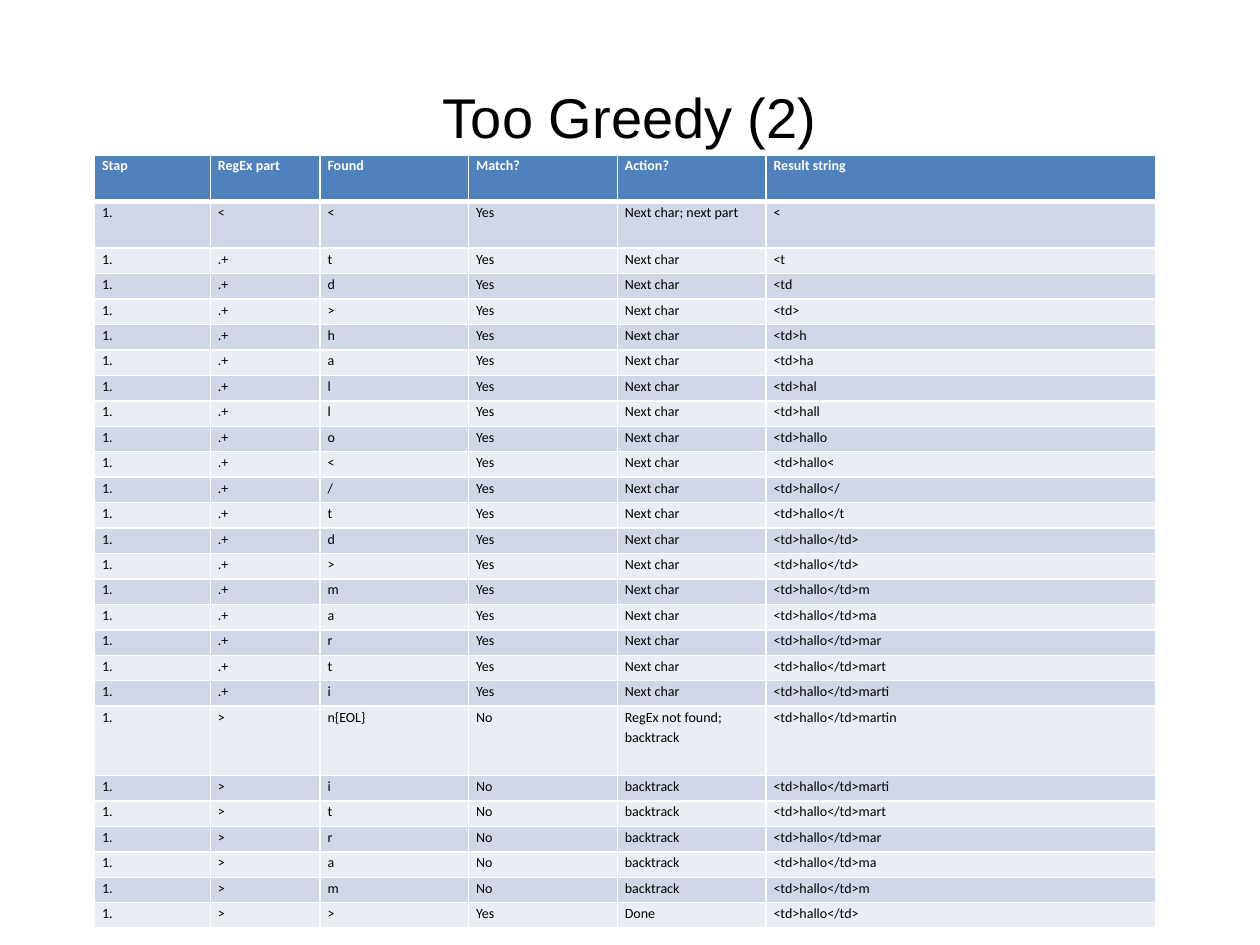
from dataclasses import dataclass

from lxml import etree
from pptx import Presentation
from pptx.dml.color import RGBColor
from pptx.enum import text
from pptx.oxml import ns
from pptx.util import Inches, Pt

COLORS = {
    "header": "4F81BD",
    "odd": "D0D8E8",
    "even": "E9EDF4",
    "border": "FFFFFF",
    "header_text": "FFFFFF",
    "text": "000000",
}
SUBJECT = "<td>hallo</td>martin"
CLOSING_D, TAG_END = 13, 14
HEADINGS = ("Stap", "RegEx part", "Found", "Match?", "Action?", "Result string")
COLUMN_WIDTHS = (0.92, 0.87, 1.18, 1.18, 1.18, 3.09)
TABLE_HEIGHT = 6.14
TALL_ROWS = {0: 0.37, 1: 0.37, 20: 0.55}


@dataclass
class Step:
    regex: str
    found: str
    match: str
    action: str
    result: str

    def values(self) -> tuple[str, ...]:
        return ("1.", self.regex, self.found, self.match, self.action, self.result)


@dataclass
class CellStyle:
    fill: str
    color: str
    bold: bool
    top: int
    bottom: int


def matching_steps() -> list[Step]:
    steps = [Step("<", "<", "Yes", "Next char; next part", "<")]
    for length in range(2, len(SUBJECT)):
        shown = TAG_END if length == CLOSING_D else length
        steps.append(Step(".+", SUBJECT[length - 1], "Yes", "Next char", SUBJECT[:shown]))
    steps.append(Step(">", "n{EOL}", "No", "RegEx not found;\nbacktrack", SUBJECT))
    for length in range(len(SUBJECT) - 1, TAG_END, -1):
        steps.append(Step(">", SUBJECT[length - 1], "No", "backtrack", SUBJECT[:length]))
    steps.append(Step(">", ">", "Yes", "Done", SUBJECT[:TAG_END]))
    return steps


def row_style(row: int) -> CellStyle:
    if row == 0:
        return CellStyle("header", "header_text", True, 1, 3)
    return CellStyle("odd" if row % 2 else "even", "text", False, 3 if row == 1 else 1, 1)


def add_run(paragraph, words: str, font_name: str, size: int, color: str, bold: bool = False) -> None:
    run = paragraph.add_run()
    run.text = words
    run.font.name = font_name
    run.font.size = Pt(size)
    run.font.bold = bold
    run.font.color.rgb = RGBColor.from_string(COLORS[color])


def set_borders(cell, style: CellStyle) -> None:
    properties = cell._tc.get_or_add_tcPr()
    widths = {"lnL": 1, "lnR": 1, "lnT": style.top, "lnB": style.bottom}
    for position, (tag, width) in enumerate(widths.items()):
        line = etree.Element(ns.qn(f"a:{tag}"), w=str(Pt(width)))
        fill = etree.SubElement(line, ns.qn("a:solidFill"))
        etree.SubElement(fill, ns.qn("a:srgbClr"), val=COLORS["border"])
        properties.insert(position, line)


def fill_cell(cell, words: str, style: CellStyle) -> None:
    cell.margin_left = cell.margin_right = Inches(0.06)
    cell.margin_top = cell.margin_bottom = 0
    cell.fill.solid()
    cell.fill.fore_color.rgb = RGBColor.from_string(COLORS[style.fill])
    set_borders(cell, style)
    frame = cell.text_frame
    for index, line in enumerate(words.split("\n")):
        paragraph = frame.add_paragraph() if index else frame.paragraphs[0]
        paragraph.line_spacing = 1.15
        add_run(paragraph, line, "Calibri", 8, style.color, style.bold)


def add_title(slide, words: str) -> None:
    shape = slide.shapes.add_textbox(Inches(0.5), Inches(0.3), Inches(9), Inches(1.25))
    frame = shape.text_frame
    frame.word_wrap = True
    frame.vertical_anchor = text.MSO_ANCHOR.MIDDLE
    paragraph = frame.paragraphs[0]
    paragraph.alignment = text.PP_ALIGN.CENTER
    add_run(paragraph, words, "Arial", 32, "text")


def add_steps_table(slide, steps: list[Step]) -> None:
    rows = [HEADINGS, *(step.values() for step in steps)]
    table = slide.shapes.add_table(
        len(rows), len(HEADINGS), Inches(0.75), Inches(1.23),
        Inches(sum(COLUMN_WIDTHS)), Inches(TABLE_HEIGHT),
    ).table
    for column, width in zip(table.columns, COLUMN_WIDTHS):
        column.width = Inches(width)
    common_height = (TABLE_HEIGHT - sum(TALL_ROWS.values())) / (len(rows) - len(TALL_ROWS))
    for index, values in enumerate(rows):
        table.rows[index].height = Inches(TALL_ROWS.get(index, common_height))
        for cell, words in zip(table.rows[index].cells, values):
            fill_cell(cell, words, row_style(index))


def main() -> None:
    presentation = Presentation()
    presentation.slide_width = Inches(10)
    presentation.slide_height = Inches(7.5)
    slide = presentation.slides.add_slide(presentation.slide_layouts[6])
    add_title(slide, "Too Greedy (2)")
    add_steps_table(slide, matching_steps())
    presentation.save("out.pptx")


if __name__ == "__main__":
    main()
